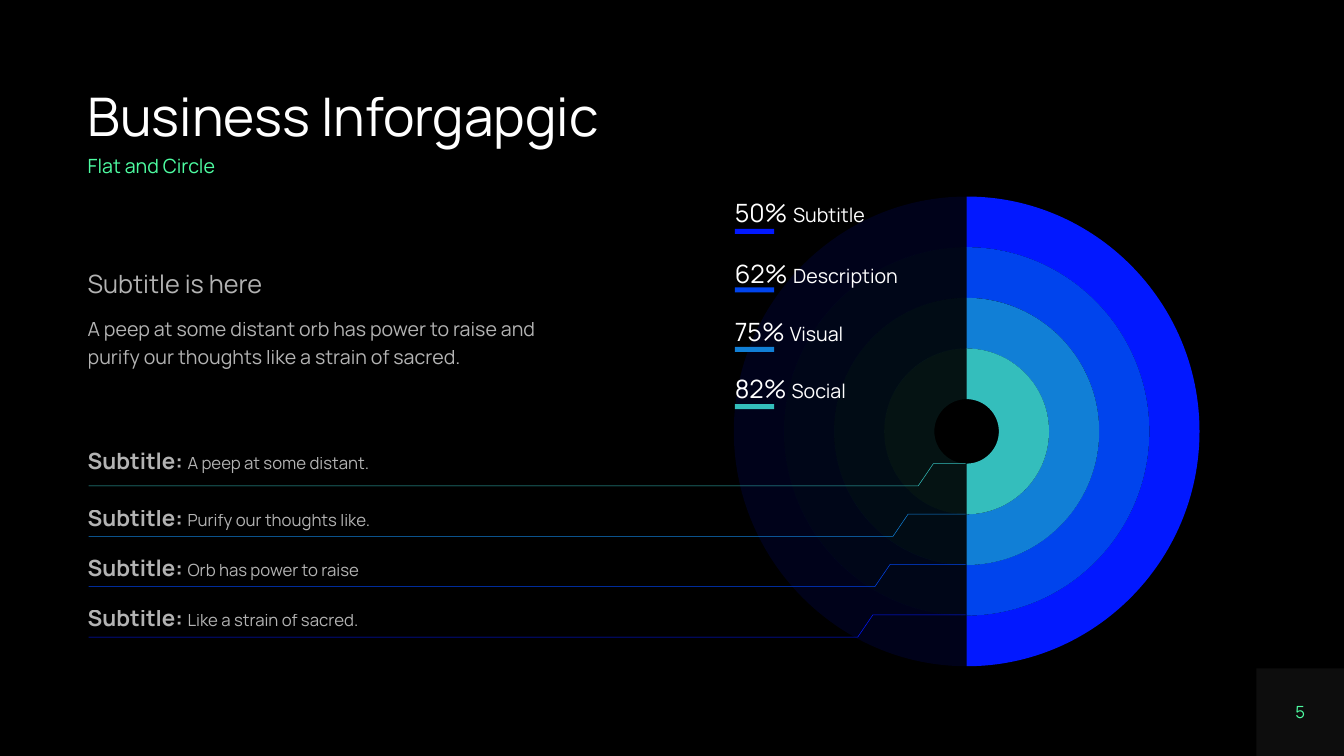
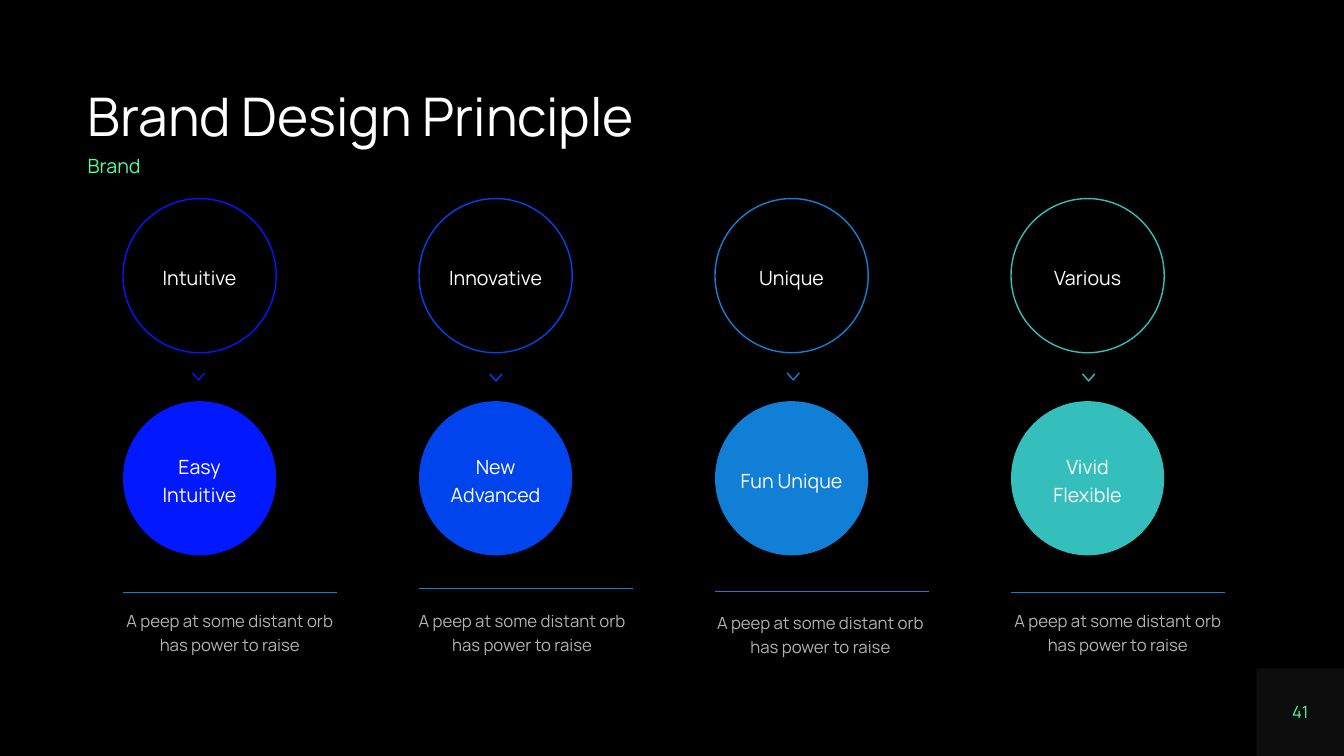
"""Builds two dark infographic slides: a ring diagram and a row of design principles."""
from dataclasses import dataclass

from lxml.etree import SubElement
from pptx import Presentation
from pptx.dml.color import RGBColor
from pptx.enum.shapes import MSO_CONNECTOR, MSO_SHAPE
from pptx.enum.text import MSO_ANCHOR, MSO_AUTO_SIZE, PP_ALIGN
from pptx.oxml.ns import qn
from pptx.util import Inches, Pt


@dataclass(frozen=True)
class Theme:
    """Colours, font, type sizes and line widths."""
    font: str = "Manrope"
    back: str = "000000"
    white: str = "FFFFFF"
    mint: str = "4EFDA2"
    gray: str = "808080"
    hues: tuple = ("0218FF", "0044ED", "117FD6", "34BEBC")
    title: int = 38
    lead: int = 18
    label: int = 16
    body: int = 14
    small: int = 12
    gap: int = 10
    soft: float = 0.7
    faint: float = 0.1
    thin: float = 0.38
    bold: float = 1


T = Theme()
WIDE, HIGH = 40 / 3, 7.5
LEFT = 0.87
TAB = 0.87

INTRO = (
    ("Subtitle is here", T.lead),
    ("A peep at some distant orb has power to raise and \v"
     "purify our thoughts like a strain of sacred.", T.body),
)
SHARES = (
    ("50%", "Subtitle", 1.86, 2.27, (" ", 20)),
    ("62%", "Description", 2.47, 2.85, (" ", 20)),
    ("75% ", "Visual", 3.08, 3.44, None),
    ("82% ", "Social", 3.64, 4.01, None),
)
CALLS = (
    ("A peep at some distant.", 4.38, 9.11),
    ("Purify our thoughts like.", 4.95, 8.86),
    ("Orb has power to raise", 5.44, 8.68),
    ("Like a strain of sacred.", 5.94, 8.51),
)
HUB = (9.59, 4.28)
HOLE = 0.32
RIM = (2.31, 2.33)
BEND = 0.55

NOTE = "A peep at some distant orb has power to raise"
IDEAS = (
    ("Intuitive", "Easy Intuitive", (1.91, 3.7), 5.88, (1.22, 6.02)),
    ("Innovative", "New Advanced", (4.86, 3.71), 5.84, (4.12, 6.02)),
    ("Unique", "Fun Unique", (7.81, 3.7), 5.87, (7.08, 6.04)),
    ("Various", "Vivid Flexible", (10.74, 3.71), 5.88, (10.03, 6.02)),
)
FIRST, LAST = 1.22, 10.03


def paint(fill, root, hue, share=1.0):
    fill.solid()
    fill.fore_color.rgb = RGBColor.from_string(hue)
    if share < 1:
        tint = list(root.iter(qn("a:srgbClr")))[-1]
        SubElement(tint, qn("a:alpha"), val=str(round(share * 100000)))


def dress(shape, fill=None, share=1.0, line=None, width=T.bold):
    shape.shadow.inherit = False
    if fill:
        paint(shape.fill, shape._element, fill, share)
    else:
        shape.fill.background()
    if line:
        shape.line.color.rgb = RGBColor.from_string(line)
        shape.line.width = Pt(width)
    else:
        shape.line.fill.background()


def write(frame, paras, hue=T.white, share=1.0, space=1.2,
          align=PP_ALIGN.LEFT, anchor=MSO_ANCHOR.TOP, wrap=True):
    """Fills a frame; each run is text, size and an optional bold flag."""
    frame.margin_left = frame.margin_right = 0
    frame.margin_top = frame.margin_bottom = 0
    frame.word_wrap = wrap
    frame.vertical_anchor = anchor
    for i, runs in enumerate(paras):
        para = frame.add_paragraph() if i else frame.paragraphs[0]
        para.alignment = align
        para.line_spacing = space
        if i:
            para.space_before = Pt(T.gap)
        for words, size, *bold in runs:
            for j, part in enumerate(words.split("\v")):
                if j:
                    para.add_line_break()
                run = para.add_run()
                run.text = part
                run.font.name = T.font
                run.font.size = Pt(size)
                run.font.bold = bool(bold)
                paint(run.font.fill, run._r, hue, share)


def note(slide, box, paras, **style):
    frame = slide.shapes.add_textbox(*map(Inches, box)).text_frame
    write(frame, paras, **style)
    frame.auto_size = MSO_AUTO_SIZE.SHAPE_TO_FIT_TEXT


def block(slide, kind, box, **style):
    shape = slide.shapes.add_shape(kind, *map(Inches, box))
    dress(shape, **style)
    return shape


def trace(slide, points, close=False, **style):
    dots = [(Inches(x), Inches(y)) for x, y in points]
    pen = slide.shapes.build_freeform(*dots[0], scale=1.0)
    pen.add_line_segments(dots[1:], close=close)
    shape = pen.convert_to_shape()
    dress(shape, **style)
    return shape


def start(deck, title, sub, page):
    slide = deck.slides.add_slide(deck.slide_layouts[6])
    block(slide, MSO_SHAPE.RECTANGLE, (WIDE - TAB, HIGH - TAB, TAB, TAB),
          fill=T.gray, share=T.faint)
    note(slide, (LEFT, 0.9, 11.59, 0.58), [[(title, T.title)]], space=0.9)
    note(slide, (LEFT, 1.55, 2.1, 0.21), [[(sub, T.body)]],
         hue=T.mint, space=0.9)
    note(slide, (12.78, 6.96, 0.24, 0.2), [[(page, T.small)]], hue=T.mint,
         space=1.0, align=PP_ALIGN.CENTER, anchor=MSO_ANCHOR.MIDDLE,
         wrap=False)
    return slide


def arc(rank, side):
    """Knots and handles of a half ellipse from top to bottom."""
    wide, tall = (HOLE + (rim - HOLE) * rank / 4 for rim in RIM)
    knots = ((0, -1), (BEND, -1), (1, -BEND), (1, 0),
             (1, BEND), (BEND, 1), (0, 1))
    return [(HUB[0] + side * wide * x, HUB[1] + tall * y) for x, y in knots]


def ring(slide, level, side, **style):
    """Draws a half ring; side is 1 for right and -1 for left."""
    points = arc(level + 1, side) + arc(level, side)[::-1]
    shape = trace(slide, points, close=True, **style)
    steps = list(shape._element.iter(qn("a:lnTo")))
    for at in (0, 3, 7, 10):
        trio = steps[at:at + 3]
        track = trio[0].getparent()
        curve = SubElement(track, qn("a:cubicBezTo"))
        trio[0].addprevious(curve)
        for step in trio:
            curve.append(step[0])
            track.remove(step)


def rings(deck):
    slide = start(deck, "Business Inforgapgic", "Flat and Circle", "5")
    for side, share in ((-1, T.faint), (1, 1.0)):
        for i, hue in enumerate(T.hues):
            ring(slide, 3 - i, side, fill=hue, share=share)
    for (rate, name, top, low, gap), hue in zip(SHARES, T.hues):
        runs = [(rate, T.lead), gap, (name, T.body)]
        note(slide, (7.29, top, 1.92, 0.36), [[run for run in runs if run]])
        block(slide, MSO_SHAPE.RECTANGLE, (7.29, low, 0.39, 0.05), fill=hue)
    for i, (words, top, bend) in enumerate(CALLS):
        end = 4.6 + 0.5 * i
        low = end + 0.22
        trace(slide, [(0.88, low), (bend, low), (bend + 0.15, end),
                      (9.58, end)], line=T.hues[3 - i], width=T.thin)
        note(slide, (LEFT, top, 3.55, 0.31),
             [[("Subtitle: ", T.label, True), (words, T.small)]], share=T.soft)
    note(slide, (LEFT, 2.6, 5, 1.05), [[run] for run in INTRO], share=T.soft)


def ideas(deck):
    slide = start(deck, "Brand Design Principle", "Brand", "41")
    step = (LAST - FIRST) / (len(IDEAS) - 1)
    for i, (name, goal, tip, rule, spot) in enumerate(IDEAS):
        hue, left = T.hues[i], FIRST + step * i
        for words, top, style in ((name, 1.97, {"line": hue}),
                                  (goal, 3.98, {"fill": hue})):
            disc = block(slide, MSO_SHAPE.OVAL, (left, top, 1.52, 1.53),
                         **style)
            write(disc.text_frame, [[(words, T.body)]],
                  align=PP_ALIGN.CENTER, anchor=MSO_ANCHOR.MIDDLE)
        x, y = tip
        trace(slide, [(x + 0.12, y), (x + 0.06, y + 0.07), (x, y)], line=hue)
        bar = slide.shapes.add_connector(
            MSO_CONNECTOR.STRAIGHT,
            *map(Inches, (left, rule, left + 2.12, rule)))
        bar.line.color.rgb = RGBColor.from_string(T.hues[2])
        bar.line.width = Pt(T.thin)
        SubElement(bar._element.spPr, qn("a:effectLst"))
        note(slide, (*spot, 2.12, 0.47), [[(NOTE, T.small)]], share=T.soft,
             align=PP_ALIGN.CENTER)


def main():
    deck = Presentation()
    deck.slide_width, deck.slide_height = Inches(WIDE), Inches(HIGH)
    paint(deck.slide_master.background.fill, None, T.back)
    rings(deck)
    ideas(deck)
    deck.save("out.pptx")


if __name__ == "__main__":
    main()
